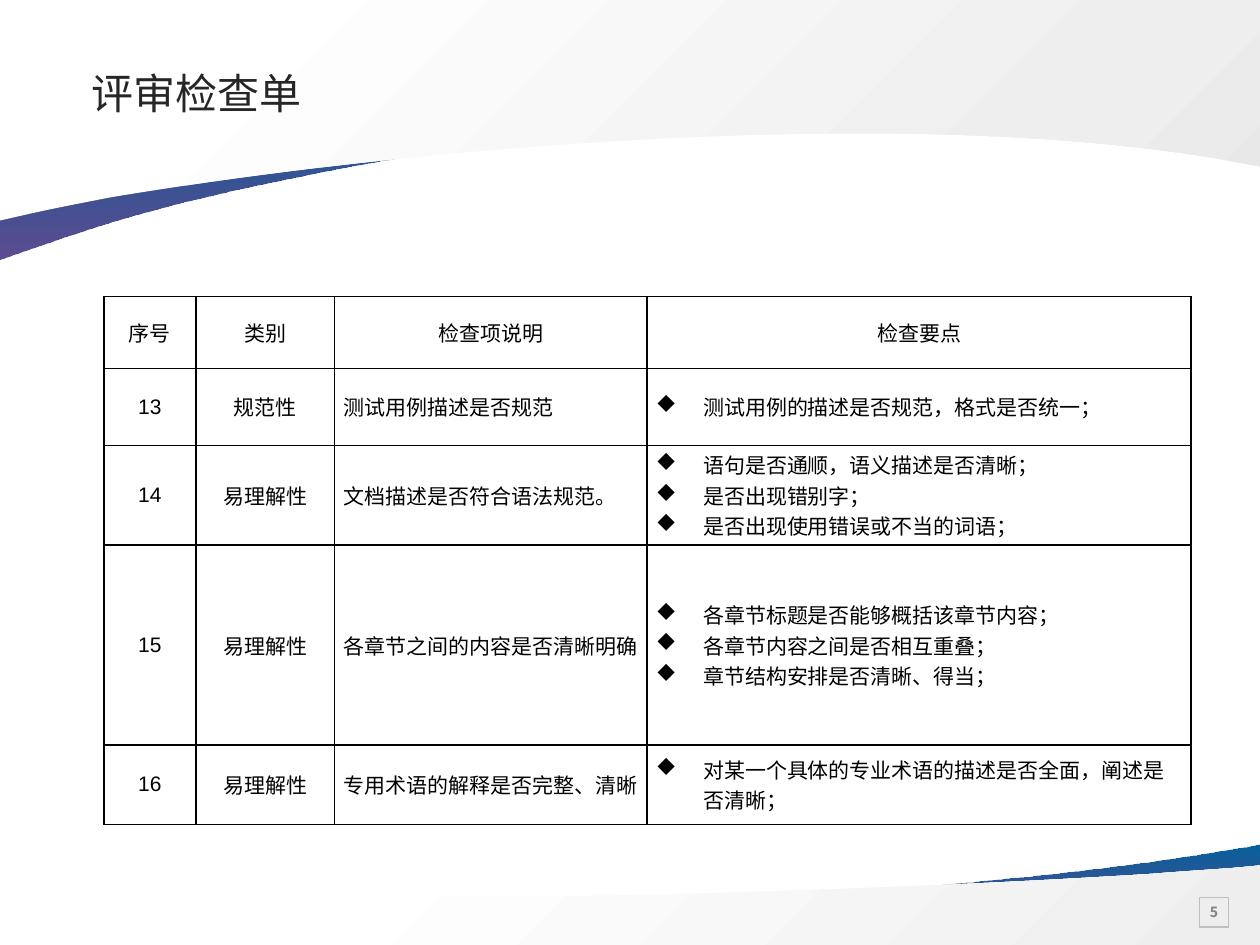
from pptx import Presentation
from pptx.dml.color import RGBColor
from pptx.enum.shapes import MSO_SHAPE
from pptx.enum.text import MSO_ANCHOR, PP_ALIGN
from pptx.oxml import parse_xml
from pptx.oxml.ns import nsdecls, qn
from pptx.util import Pt

RECT = MSO_SHAPE.RECTANGLE
MIDDLE = MSO_ANCHOR.MIDDLE
LEFT, CENTER = PP_ALIGN.LEFT, PP_ALIGN.CENTER

BLACK = RGBColor(0x00, 0x00, 0x00)
WHITE = RGBColor(0xFF, 0xFF, 0xFF)
INK = RGBColor(0x26, 0x26, 0x26)
NUMBER_GRAY = RGBColor(0x80, 0x80, 0x80)
FRAME_GRAY = RGBColor(0xBF, 0xBF, 0xBF)
PALE = RGBColor(0xEE, 0xEE, 0xEE)
PALE_END = RGBColor(0xE8, 0xE8, 0xE8)
BLUE = RGBColor(0x04, 0x61, 0x9D)
PURPLE = RGBColor(0x34, 0x22, 0x75)

SANS = "Noto Sans CJK SC"
LATIN = "Arial"
W, H = 720, 540
INDENT = 27

RIBBON = [(0, BLUE, 100), (100, PURPLE, 80)]
FOOTER_PALE = [(26, WHITE, 100), (100, PALE, 100)]
HEADER_PALE = [(17, WHITE, 100), (81, PALE, 100), (100, PALE_END, 100)]

FOOTER_RIBBON_PATH = [
    (W, 482.4), (W, 529.2), (0, 529.2), (0, 509.8), (0.7, 509.8),
    ((162.7, 533.5), (442.8, 516.2), (604.1, 499)),
    ((636.5, 495.4), (673.2, 490.3), (712.1, 483.8)),
]
FOOTER_PALE_PATH = [
    (W, 494.6), (W, 512.6), (W, 514.8), (W, H), (0, H), (0, 514.8),
    (0, 512.6), (0, 506.2), (23.8, 507.6),
    ((211.7, 519.1), (491.8, 509.8), (658.1, 499.4)),
    ((672.5, 498.2), (688.3, 497.2), (704.2, 496.1)),
]
HEADER_RIBBON_PATH = [
    (0, 148.3), (0, 47.5), (W, 47.5), (W, 89.3), (719.3, 88.6),
    ((557.3, 38.2), (277.2, 74.2), (115.9, 113)),
    ((83.5, 120.2), (46.8, 131.8), (7.9, 145.4)),
]
HEADER_PALE_PATH = [
    (0, 126), (0, 75.6), (0, 71.3), (0, 0), (W, 0), (W, 71.3),
    (W, 75.6), (W, 95), (696.2, 90.7),
    ((508.3, 59), (228.2, 85), (61.9, 113)),
    ((47.5, 115.9), (31.7, 118.8), (15.8, 122.4)),
]

COLS = [52.7, 79.2, 178.6, 310.9]
ROWS = [41, 44, 57, 114.2, 45.4]
HEADERS = ["序号", "类别", "检查项说明", "检查要点"]
CHECKS = [
    ("13", "规范性", "测试用例描述是否规范",
     ["测试用例的描述是否规范，格式是否统一；"]),
    ("14", "易理解性", "文档描述是否符合语法规范。",
     ["语句是否通顺，语义描述是否清晰；", "是否出现错别字；", "是否出现使用错误或不当的词语；"]),
    ("15", "易理解性", "各章节之间的内容是否清晰明确",
     ["各章节标题是否能够概括该章节内容；", "各章节内容之间是否相互重叠；", "章节结构安排是否清晰、得当；"]),
    ("16", "易理解性", "专用术语的解释是否完整、清晰",
     ["对某一个具体的专业术语的描述是否全面，阐述是否清晰；"]),
]


def set_gradient(s, stops, angle):
    gs = "".join(
        f'<a:gs pos="{pos * 1000}"><a:srgbClr val="{color}">'
        f'<a:alpha val="{alpha * 1000}"/></a:srgbClr></a:gs>'
        for pos, color, alpha in stops)
    grad = parse_xml(
        f'<a:gradFill {nsdecls("a")} rotWithShape="1"><a:gsLst>{gs}</a:gsLst>'
        f'<a:lin ang="{angle * 60000}" scaled="0"/></a:gradFill>')
    s.fill.background()
    sp_pr = s.element.spPr
    sp_pr.replace(sp_pr.find(qn("a:noFill")), grad)


def bend_segments(s, path):
    segments = list(s.element.spPr.iter(qn("a:lnTo")))
    for segment, step in zip(segments, path[1:]):
        if len(step) == 3:
            pts = "".join(f'<a:pt x="{Pt(x) - s.left}" y="{Pt(y) - s.top}"/>'
                          for x, y in step)
            curve = parse_xml(
                f'<a:cubicBezTo {nsdecls("a")}>{pts}</a:cubicBezTo>')
            segment.getparent().replace(segment, curve)


def add_swoosh(shapes, path, stops, angle):
    ends = [step[-1] if len(step) == 3 else step for step in path]
    start, *rest = [(Pt(x), Pt(y)) for x, y in ends]
    builder = shapes.build_freeform(*start)
    builder.add_line_segments(rest, close=True)
    s = builder.convert_to_shape()
    bend_segments(s, path)
    s.shadow.inherit = False
    s.line.fill.background()
    set_gradient(s, stops, angle)


def add_band(slide, ribbon_path, pale_path, pale_stops):
    shapes = slide.shapes.add_group_shape().shapes
    add_swoosh(shapes, ribbon_path, RIBBON, 90)
    add_swoosh(shapes, pale_path, pale_stops, 45)


def write(p, text, size, color, font, align=LEFT, bold=False):
    p.alignment = align
    r = p.add_run()
    r.text = text
    r.font.size = Pt(size)
    r.font.bold = bold
    r.font.color.rgb = color
    r.font.name = font
    latin = r.font._element.find(qn("a:latin"))
    latin.addnext(parse_xml(f'<a:ea {nsdecls("a")} typeface="{SANS}"/>'))


def add_title(slide, text):
    s = slide.shapes.add_textbox(Pt(46.8), Pt(33.8), Pt(558.7), Pt(41.8))
    tf = s.text_frame
    tf.word_wrap = True
    tf.vertical_anchor = MIDDLE
    tf.margin_left = Pt(5.4)
    tf.margin_top = tf.margin_bottom = Pt(5.8)
    tf.margin_right = 0
    p = tf.paragraphs[0]
    p.line_spacing = 0.9
    write(p, text, 24, INK, SANS)


def add_page_number(slide, text):
    s = slide.shapes.add_shape(RECT, Pt(685.4), Pt(512.8), Pt(16.6), Pt(17))
    s.shadow.inherit = False
    s.fill.background()
    s.line.color.rgb = FRAME_GRAY
    s.line.width = Pt(0.75)
    tf = s.text_frame
    tf.word_wrap = False
    tf.vertical_anchor = MIDDLE
    tf.margin_left = tf.margin_right = tf.margin_top = tf.margin_bottom = Pt(5.8)
    write(tf.paragraphs[0], text, 8, NUMBER_GRAY, SANS, CENTER, True)


def set_bullet(p):
    p_pr = p._p.get_or_add_pPr()
    p_pr.set("marL", str(Pt(INDENT)))
    p_pr.set("indent", str(-Pt(INDENT)))
    p_pr.append(parse_xml(
        f'<a:buFont {nsdecls("a")} typeface="Wingdings" charset="2"/>'))
    p_pr.append(parse_xml(f'<a:buChar {nsdecls("a")} char="u"/>'))


def set_borders(cell):
    tc_pr = cell._tc.get_or_add_tcPr()
    for i, side in enumerate(("lnL", "lnR", "lnT", "lnB")):
        tc_pr.insert(i, parse_xml(
            f'<a:{side} {nsdecls("a")} w="{Pt(1)}"><a:solidFill>'
            f'<a:srgbClr val="{BLACK}"/></a:solidFill></a:{side}>'))


def fill_cell(cell, lines, align, bullets):
    cell.fill.background()
    set_borders(cell)
    cell.vertical_anchor = MIDDLE
    cell.margin_left = cell.margin_right = Pt(5)
    cell.margin_top = cell.margin_bottom = 0
    tf = cell.text_frame
    for i, line in enumerate(lines):
        p = tf.add_paragraph() if i else tf.paragraphs[0]
        write(p, line, 12, BLACK, LATIN, align)
        if bullets:
            set_bullet(p)


def add_checklist(slide):
    s = slide.shapes.add_table(len(ROWS), len(COLS), Pt(59.3), Pt(169.5),
                               Pt(sum(COLS)), Pt(sum(ROWS)))
    table = s.table
    table.first_row = table.horz_banding = False
    for col, width in zip(table.columns, COLS):
        col.width = Pt(width)
    for row, height in zip(table.rows, ROWS):
        row.height = Pt(height)
    for i, values in enumerate([HEADERS, *CHECKS]):
        for j, value in enumerate(values):
            bullets = isinstance(value, list)
            lines = value if bullets else [value]
            align = CENTER if i == 0 or j < 2 else LEFT
            fill_cell(table.cell(i, j), lines, align, bullets)


def main():
    prs = Presentation()
    prs.slide_width, prs.slide_height = Pt(W), Pt(H)
    slide = prs.slides.add_slide(prs.slide_layouts[6])
    add_band(slide, FOOTER_RIBBON_PATH, FOOTER_PALE_PATH, FOOTER_PALE)
    add_band(slide, HEADER_RIBBON_PATH, HEADER_PALE_PATH, HEADER_PALE)
    add_page_number(slide, "5")
    add_title(slide, "评审检查单")
    add_checklist(slide)
    prs.save("out.pptx")


if __name__ == "__main__":
    main()
